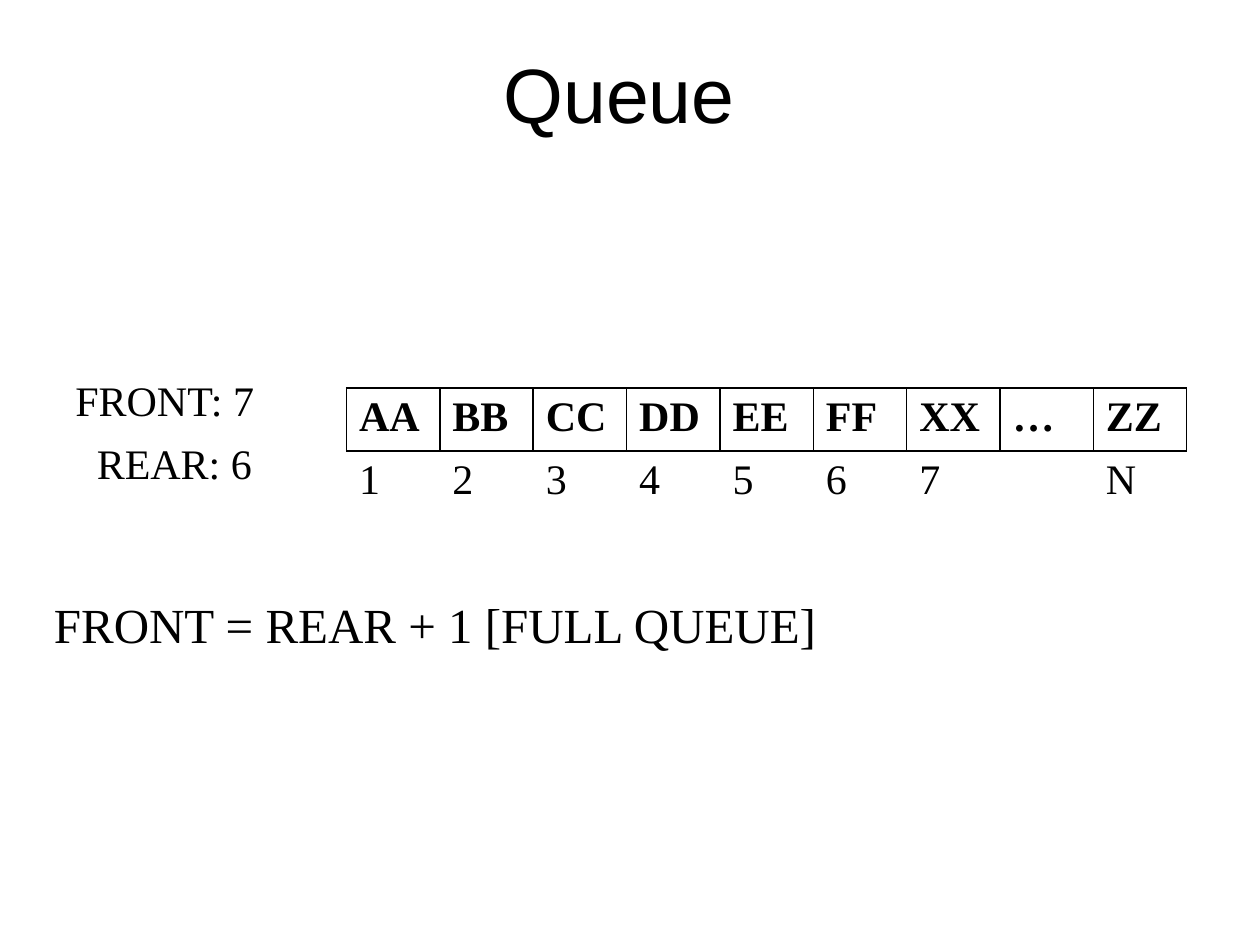
from dataclasses import dataclass

from lxml import etree
from pptx import Presentation
from pptx.dml.color import RGBColor
from pptx.enum.text import MSO_ANCHOR, PP_ALIGN
from pptx.oxml.ns import qn
from pptx.util import Inches, Pt

CENTER, LEFT = PP_ALIGN.CENTER, PP_ALIGN.LEFT
MIDDLE, TOP = MSO_ANCHOR.MIDDLE, MSO_ANCHOR.TOP


@dataclass(frozen=True)
class Theme:
    ink: str = "000000"
    title_font: str = "Arial"
    body_font: str = "Times New Roman"
    title_size: int = 44
    body_size: int = 24
    rule_size: int = 28
    border: int = 1


THEME = Theme()


def write(frame, text, size, font=THEME.body_font, bold=False, align=LEFT):
    paragraph = frame.paragraphs[0]
    paragraph.alignment = align
    run = paragraph.add_run()
    run.text = text
    run.font.name = font
    run.font.size = Pt(size)
    run.font.bold = bold
    run.font.color.rgb = RGBColor.from_string(THEME.ink)


def set_borders(cell, visible):
    """Draw the sides named in visible (L, R, T, B) and clear the others."""
    properties = cell._tc.get_or_add_tcPr()
    for side in "LRTB":
        line = etree.SubElement(properties, qn(f"a:ln{side}"), w=str(Pt(THEME.border)))
        if side in visible:
            fill = etree.SubElement(line, qn("a:solidFill"))
            etree.SubElement(fill, qn("a:srgbClr"), val=THEME.ink)
        else:
            etree.SubElement(line, qn("a:noFill"))


prs = Presentation()
prs.slide_width, prs.slide_height = Inches(10), Inches(7.5)
slide = prs.slides.add_slide(prs.slide_layouts[6])

# Title, the two pointers and the condition for a full queue
labels = [
    ("Queue ", 0.5, 0.3, 9, 0.87, THEME.title_size, THEME.title_font, CENTER, MIDDLE),
    ("FRONT: 7", 0.5, 2.92, 2.17, 0.5, THEME.body_size, THEME.body_font, LEFT, TOP),
    ("REAR: 6", 0.67, 3.42, 1.83, 0.5, THEME.body_size, THEME.body_font, LEFT, TOP),
    ("FRONT = REAR + 1 [FULL QUEUE]", 0.33, 4.67, 9.5, 0.57,
     THEME.rule_size, THEME.body_font, LEFT, TOP),
]
for text, left, top, width, height, size, font, align, anchor in labels:
    label = slide.shapes.add_textbox(Inches(left), Inches(top), Inches(width), Inches(height))
    label.text_frame.word_wrap = True
    label.text_frame.vertical_anchor = anchor
    write(label.text_frame, text, size, font, align=align)

# Queue slots above their positions
slots = ["AA", "BB", "CC", "DD", "EE", "FF", "XX", "…", "ZZ"]
positions = ["1", "2", "3", "4", "5", "6", "7", "", "N"]
queue = slide.shapes.add_table(
    2, len(slots), Inches(2.75), Inches(3.08), Inches(6.67), Inches(0.82)
).table
queue.first_row = False
queue.horz_banding = False

for row, (texts, bold, borders) in enumerate([(slots, True, "LRTB"), (positions, False, "T")]):
    for column, text in enumerate(texts):
        cell = queue.cell(row, column)
        set_borders(cell, borders)
        cell.fill.background()
        if text:
            write(cell.text_frame, text, THEME.body_size, bold=bold)

prs.save("out.pptx")
